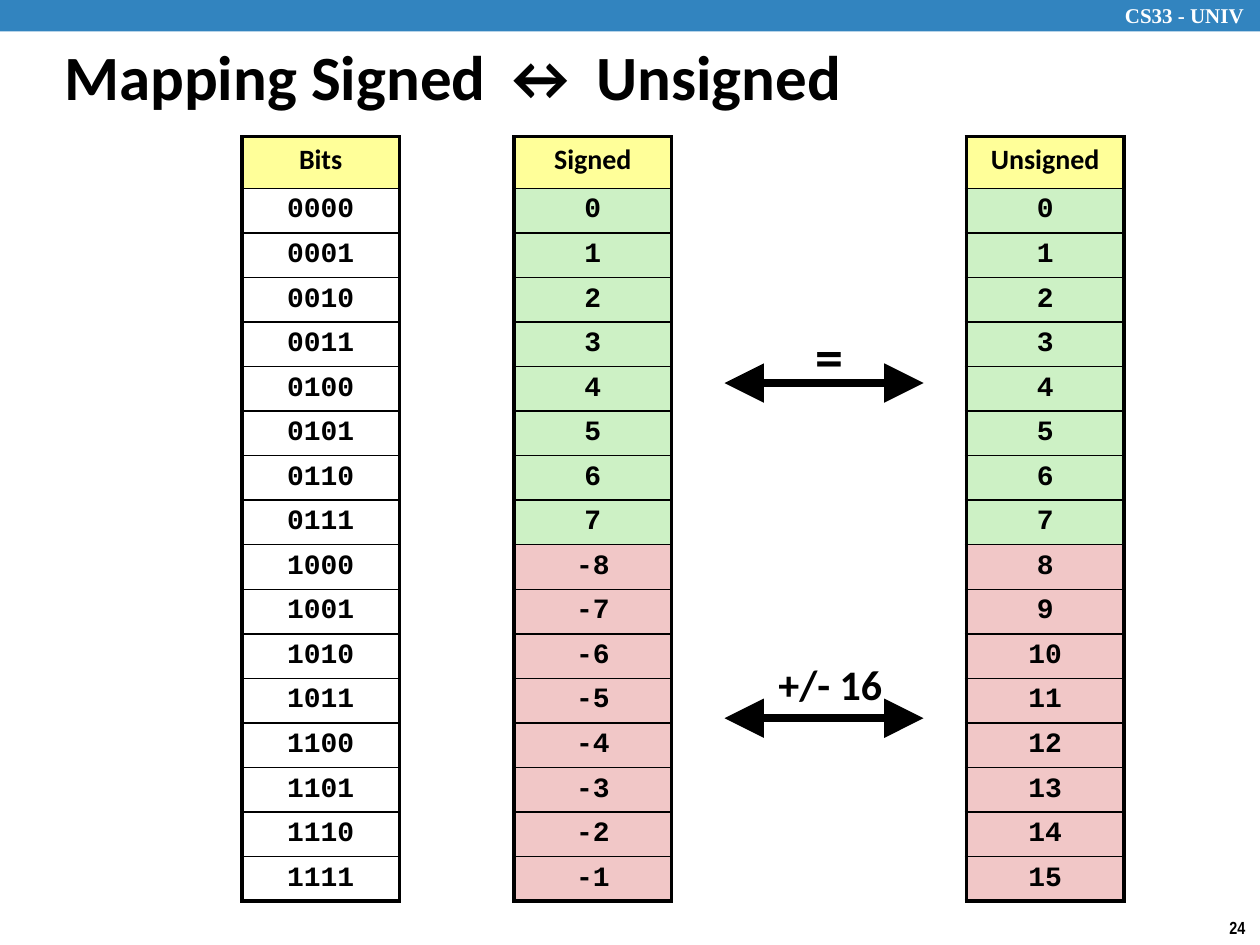
from lxml.etree import SubElement
from pptx import Presentation
from pptx.dml.color import RGBColor
from pptx.enum.shapes import MSO_CONNECTOR, MSO_SHAPE
from pptx.enum.text import MSO_ANCHOR, PP_ALIGN
from pptx.oxml.ns import qn
from pptx.util import Inches, Pt

# Slide grid: 100 columns by 75 rows of equal square units
COLUMNS, ROWS = 100, 75
BLACK, WHITE, BLUE = "000000", "FFFFFF", "3284BF"
YELLOW, GREEN, RED = "FFFF99", "CDF1C5", "F1C7C7"


def color(hex_string):
    return RGBColor.from_string(hex_string)


class SlideBuilder:
    font = "Calibri"
    thick, thin = 2.25, 1

    def __init__(self, presentation):
        self.slide = presentation.slides.add_slide(presentation.slide_layouts[6])
        self.shapes = self.slide.shapes
        self.column = presentation.slide_width / COLUMNS
        self.row = presentation.slide_height / ROWS

    def place(self, left, top, width, height):
        return (round(left * self.column), round(top * self.row),
                round(width * self.column), round(height * self.row))

    def run(self, paragraph, text, size, font=None, fill=BLACK):
        run = paragraph.add_run()
        run.text = text
        run.font.size = Pt(size)
        run.font.name = font or self.font
        run.font.bold = True
        run.font.color.rgb = color(fill)

    def bar(self, box, fill):
        shape = self.shapes.add_shape(MSO_SHAPE.RECTANGLE, *self.place(*box))
        shape.shadow.inherit = False
        shape.fill.solid()
        shape.fill.fore_color.rgb = color(fill)
        shape.line.fill.background()

    def text(self, box, text, size, font=None, fill=BLACK, inset=(0.1, 0.05),
             align=PP_ALIGN.LEFT, anchor=MSO_ANCHOR.TOP, wrap=False):
        frame = self.shapes.add_textbox(*self.place(*box)).text_frame
        frame.word_wrap = wrap
        frame.vertical_anchor = anchor
        frame.margin_left = frame.margin_right = Inches(inset[0])
        frame.margin_top = frame.margin_bottom = Inches(inset[1])
        paragraph = frame.paragraphs[0]
        paragraph.alignment = align
        self.run(paragraph, text, size, font, fill)

    def border(self, cell, side, width):
        line = SubElement(cell._tc.get_or_add_tcPr(), qn(f"a:ln{side}"), w=str(Pt(width)))
        fill = SubElement(line, qn("a:solidFill"))
        SubElement(fill, qn("a:srgbClr"), val=BLACK)

    def cell(self, cell, text, fill, font, top, bottom):
        for side, width in (("L", self.thick), ("R", self.thick), ("T", top), ("B", bottom)):
            self.border(cell, side, width)
        if fill:
            cell.fill.solid()
            cell.fill.fore_color.rgb = color(fill)
        else:
            cell.fill.background()
        cell.margin_left = cell.margin_right = Inches(0.05)
        cell.margin_top = cell.margin_bottom = Inches(0.05)
        paragraph = cell.text_frame.paragraphs[0]
        paragraph.alignment = PP_ALIGN.CENTER
        paragraph.line_spacing = 0.95
        self.run(paragraph, text, 16, font)

    def value_table(self, left, heading, values, fills):
        """One column: a heading cell above one cell per value."""
        box = self.place(left, 10.85, 12.5, 61.2)
        table = self.shapes.add_table(len(values) + 1, 1, *box).table
        table.first_row = table.horz_banding = False
        for index, row in enumerate(table.rows):
            row.height = round((3.3 if index else 4.1) * self.row)
        self.cell(table.cell(0, 0), heading, YELLOW, self.font, self.thick, self.thin)
        for index, (value, fill) in enumerate(zip(values, fills), start=1):
            bottom = self.thick if index == len(values) else self.thin
            self.cell(table.cell(index, 0), value, fill, "Courier New", self.thin, bottom)

    def double_arrow(self, left, right, top):
        start_x, start_y, width, _ = self.place(left, top, right - left, 0)
        connector = self.shapes.add_connector(
            MSO_CONNECTOR.STRAIGHT, start_x + width, start_y, start_x, start_y)
        connector.line.width = Pt(4.5)
        connector.line.color.rgb = color(BLACK)
        line = connector.line._get_or_add_ln()
        for end in ("headEnd", "tailEnd"):
            SubElement(line, qn(f"a:{end}"), type="triangle", w="lg", len="lg")
        SubElement(connector._element.spPr, qn("a:effectLst"))


presentation = Presentation()
presentation.slide_width, presentation.slide_height = Inches(10), Inches(7.5)
builder = SlideBuilder(presentation)

# Header bar, slide number and title
builder.bar((0, 0, COLUMNS, 2.5), BLUE)
builder.text((88.3, -0.3, 12.4, 3), "CS33 - UNIV", 12, "Times New Roman", WHITE, wrap=True)
builder.text((96.6, 72.3, 3.4, 2.7), "24", 10, "Arial Narrow")
builder.text((4.4, 2.7, 74.6, 6.1), "Mapping Signed ↔ Unsigned", 36, inset=(0.07, 0.03))

# The sixteen four-bit patterns and their two readings
numbers = range(16)
half_fills = [GREEN] * 8 + [RED] * 8
builder.value_table(40.8, "Signed", [str(n if n < 8 else n - 16) for n in numbers], half_fills)
builder.value_table(76.7, "Unsigned", [str(n) for n in numbers], half_fills)
builder.value_table(19.2, "Bits", [f"{n:04b}" for n in numbers], [None] * 16)

# Relations between the signed and unsigned halves
for arrow_top in (30.4, 57):
    builder.double_arrow(57.5, 73.3, arrow_top)
builder.text((64.2, 25, 3.2, 6.4), "=", 32, inset=(0.05, 0.05), align=PP_ALIGN.CENTER)
builder.text((60.8, 51.7, 12, 5.1), "+/- 16", 24, anchor=MSO_ANCHOR.MIDDLE)

presentation.save("out.pptx")
